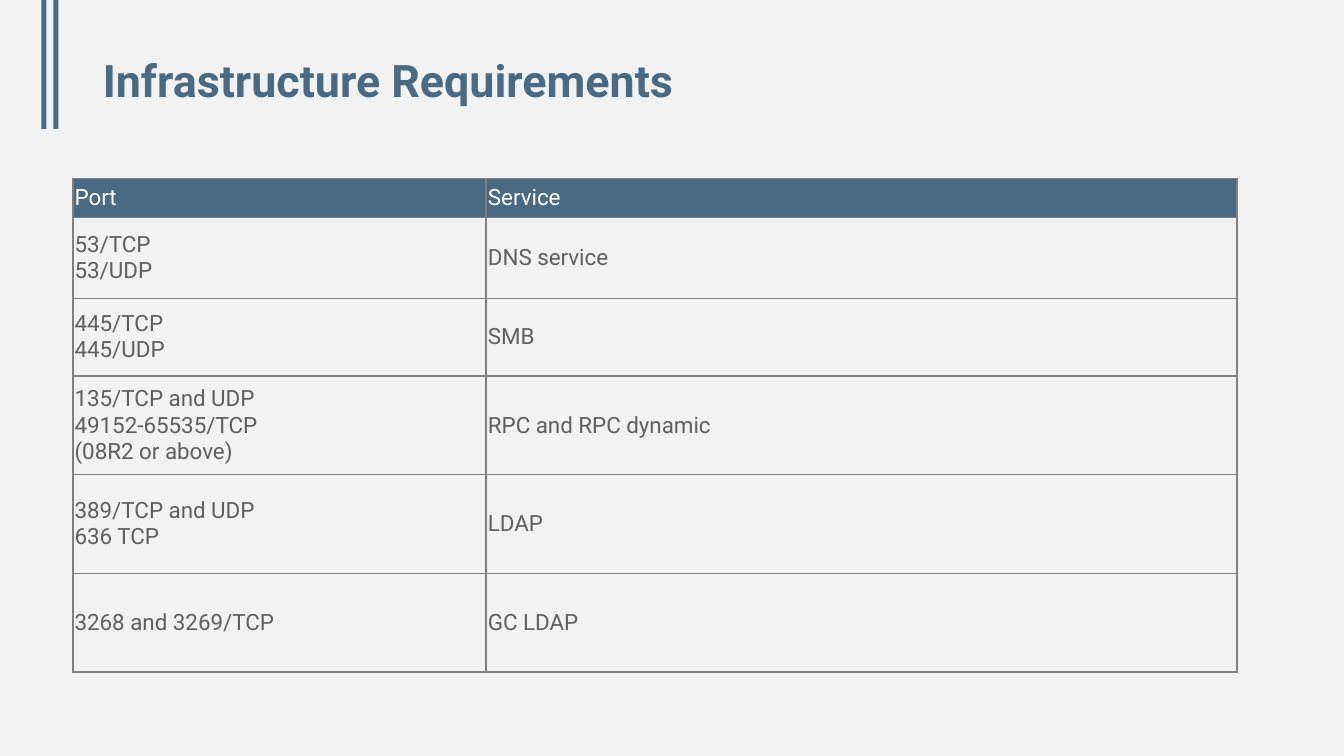
from typing import NamedTuple

from lxml import etree
from pptx import Presentation
from pptx import util as u
from pptx.dml.color import RGBColor
from pptx.enum import shapes, text
from pptx.oxml import ns

BLUE, GREY, BORDER = "4A6982", "5F5F5F", "808080"
WHITE, BACKGROUND = "FFFFFF", "F2F2F2"
COLUMN_WIDTHS = (4.1, 7.45)


class Requirement(NamedTuple):
    """One table row: ports, the service using them and the row height."""
    ports: str
    service: str
    height: float


REQUIREMENTS = [
    Requirement("Port", "Service", 0.39),
    Requirement("53/TCP\n53/UDP", "DNS service", 0.8),
    Requirement("445/TCP\n445/UDP", "SMB", 0.77),
    Requirement("135/TCP and UDP\n49152-65535/TCP\n(08R2 or above)",
                "RPC and RPC dynamic", 0.98),
    Requirement("389/TCP and UDP\n636 TCP", "LDAP", 0.98),
    Requirement("3268 and 3269/TCP", "GC LDAP", 0.98),
]


def rgb(value: str) -> RGBColor:
    """Turn a hex string into a colour."""
    return RGBColor.from_string(value)


def paint(fill, color: str) -> None:
    """Give a fill one solid colour."""
    fill.solid()
    fill.fore_color.rgb = rgb(color)


def write(frame, content: str, *, size: float, color: str,
          bold: bool = False, spacing: float = 1.0) -> None:
    """Write left-aligned text, one paragraph per line of content."""
    frame.word_wrap = True
    frame.text = content
    for paragraph in frame.paragraphs:
        paragraph.alignment = text.PP_ALIGN.LEFT
        paragraph.line_spacing = spacing
        for run in paragraph.runs:
            run.font.name = "Roboto"
            run.font.size = u.Pt(size)
            run.font.bold = bold
            run.font.color.rgb = rgb(color)


def set_borders(cell, widths: dict[str, float]) -> None:
    """Draw cell borders; widths maps L, R, T and B to points."""
    properties = cell._tc.get_or_add_tcPr()
    for index, (side, width) in enumerate(widths.items()):
        line = etree.Element(ns.qn(f"a:ln{side}"), w=str(u.Pt(width)))
        fill = etree.SubElement(line, ns.qn("a:solidFill"))
        etree.SubElement(fill, ns.qn("a:srgbClr"), val=BORDER)
        properties.insert(index, line)


def add_accent_bar(slide, left: float) -> None:
    """Add a vertical bar hanging from the top edge."""
    bar = slide.shapes.add_shape(
        shapes.MSO_SHAPE.RECTANGLE, u.Inches(left), u.Inches(0),
        u.Inches(0.05), u.Inches(1.28))
    bar.shadow.inherit = False
    paint(bar.fill, BLUE)
    bar.line.fill.background()


def add_title(slide, content: str) -> None:
    """Place and format the title placeholder."""
    title = slide.shapes.title
    title.left, title.top = u.Inches(0.92), u.Inches(0.43)
    title.width, title.height = u.Inches(11.5), u.Inches(0.79)
    write(title.text_frame, content, size=32, color=BLUE, bold=True, spacing=0.9)
    title.text_frame.vertical_anchor = text.MSO_ANCHOR.MIDDLE


def add_port_table(slide, requirements: list[Requirement]) -> None:
    """Add the table of ports and services with a thicker outer frame."""
    last_row, last_column = len(requirements) - 1, len(COLUMN_WIDTHS) - 1
    table = slide.shapes.add_table(
        last_row + 1, last_column + 1, u.Inches(0.72), u.Inches(1.77),
        u.Inches(sum(COLUMN_WIDTHS)),
        u.Inches(sum(item.height for item in requirements))).table
    table.first_row = table.horz_banding = False
    for column, width in zip(table.columns, COLUMN_WIDTHS):
        column.width = u.Inches(width)

    for row, item in enumerate(requirements):
        table.rows[row].height = u.Inches(item.height)
        for column, content in enumerate((item.ports, item.service)):
            cell = table.cell(row, column)
            cell.margin_left = cell.margin_right = u.Inches(0.02)
            cell.margin_top = cell.margin_bottom = 0
            cell.vertical_anchor = text.MSO_ANCHOR.MIDDLE
            write(cell.text_frame, content, size=16,
                  color=GREY if row else WHITE)
            if row:
                cell.fill.background()
            else:
                paint(cell.fill, BLUE)
            outer = {"L": column == 0, "R": column == last_column,
                     "T": row == 0, "B": row == last_row}
            set_borders(cell, {side: 1.5 if edge else 1
                               for side, edge in outer.items()})


deck = Presentation()
deck.slide_width, deck.slide_height = u.Inches(13.33), u.Inches(7.5)
requirements_slide = deck.slides.add_slide(deck.slide_layouts[5])
paint(requirements_slide.background.fill, BACKGROUND)
for bar_left in (0.41, 0.53):
    add_accent_bar(requirements_slide, bar_left)
add_title(requirements_slide, "Infrastructure Requirements")
add_port_table(requirements_slide, REQUIREMENTS)
deck.save("out.pptx")
